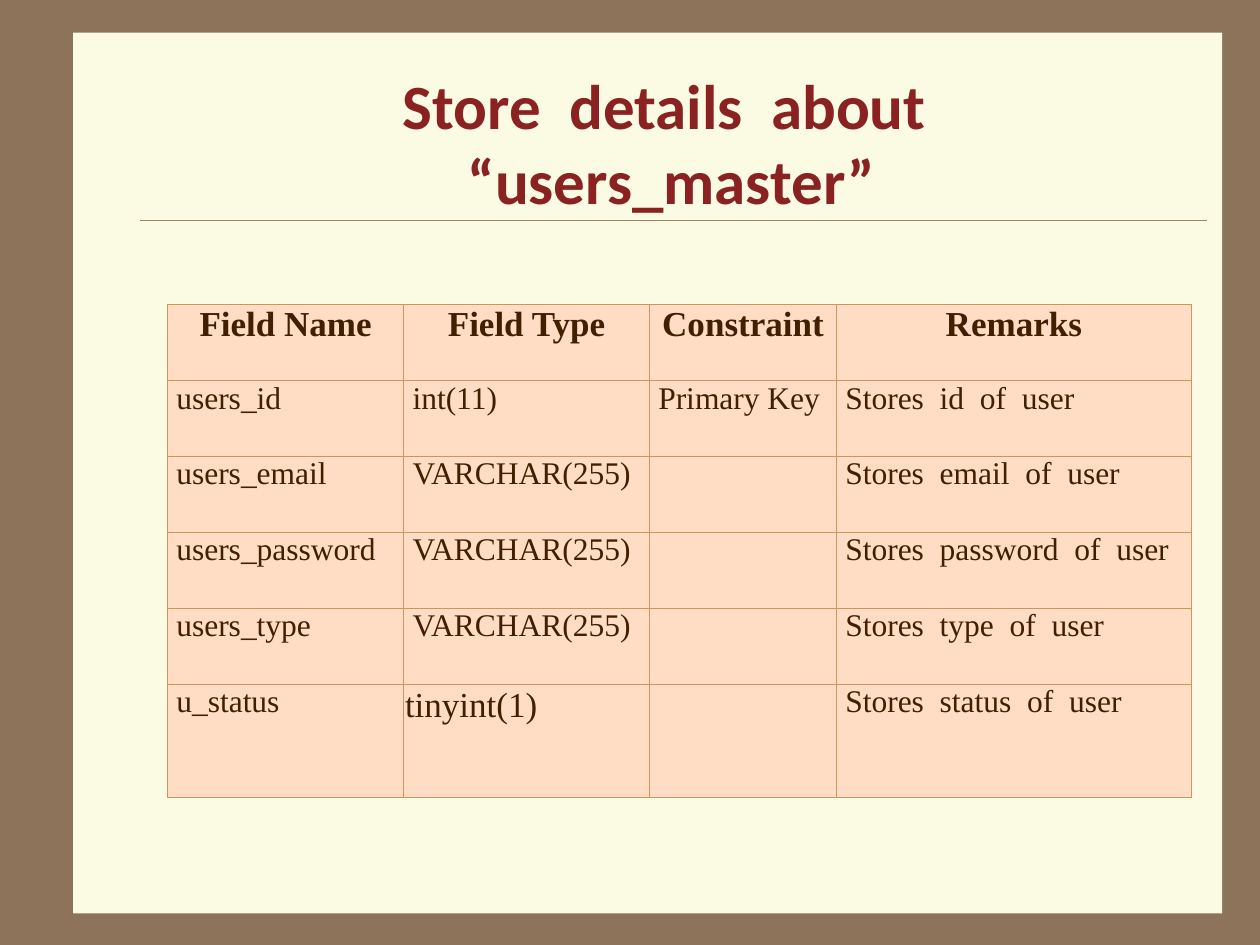
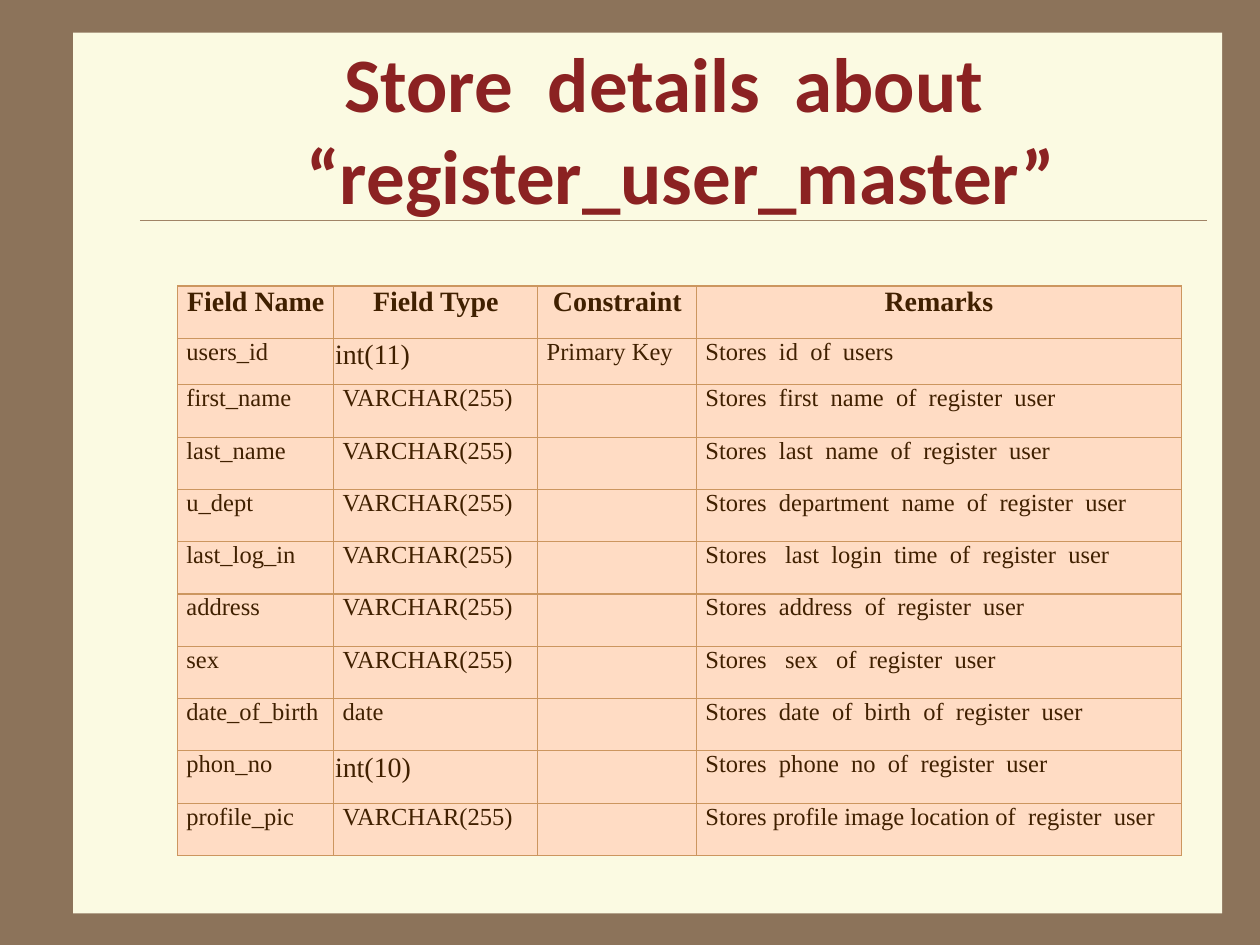
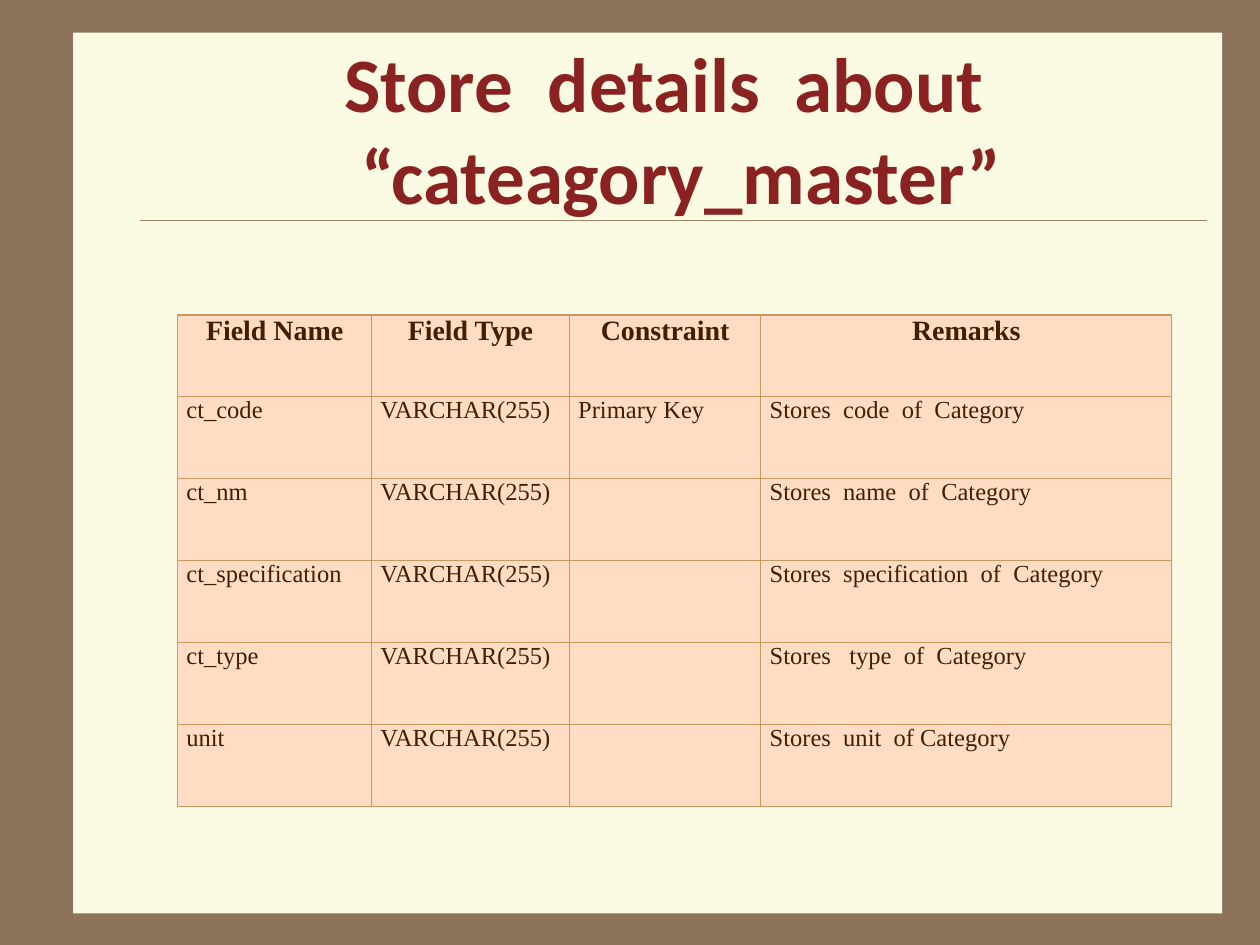
"""Builds three slides that describe the tables of a user database."""
from dataclasses import dataclass

from lxml.etree import SubElement
from pptx import Presentation
from pptx.dml.color import RGBColor as Rgb
from pptx.enum.shapes import MSO_CONNECTOR as Connector, MSO_SHAPE as Preset
from pptx.enum.text import MSO_ANCHOR as Anchor, MSO_AUTO_SIZE as AutoSize, PP_ALIGN as Align
from pptx.oxml import parse_xml
from pptx.oxml.ns import nsdecls, qn
from pptx.util import Inches, Pt

WIDTH, HEIGHT = Inches(10), Inches(7.5)
GRID_COLUMNS, GRID_ROWS = 100, 75
TITLE_ONLY = 5
HEADINGS = ("Field Name", "Field Type", "Constraint", "Remarks")


@dataclass(frozen=True)
class Theme:
    """Colours, fonts and sizes that all slides share."""
    frame: str = "8C735A"
    panel: str = "FBFAE2"
    rule: str = "A08366"
    title: str = "8B2222"
    cell: str = "FFDCC4"
    border: str = "CC965F"
    text: str = "402000"
    title_font: str = "Calibri"
    table_font: str = "Times New Roman"
    rule_width: float = 0.25
    border_width: float = 0.75


@dataclass(frozen=True)
class Schema:
    """One described database table and its place on the grid."""
    title: str
    title_place: tuple
    title_size: int
    corner: tuple
    widths: tuple
    heights: tuple
    heading_size: int
    field_size: int
    fields: tuple
    large_types: tuple = ()


THEME = Theme()

USERS = Schema(
    title="Store  details  about \v“users_master”",
    title_place=(10.8, 5, 85, 12.5), title_size=36,
    corner=(13.3, 24.2), widths=(18.75, 19.5, 14.85, 28.15),
    heights=(6.03,) * 5 + (8.95,), heading_size=20, field_size=18,
    fields=(
        ("users_id", "int(11)", "Stores  id  of  user"),
        ("users_email", "VARCHAR(255)", "Stores  email  of  user"),
        ("users_password", "VARCHAR(255)", "Stores  password  of  user"),
        ("users_type", "VARCHAR(255)", "Stores  type  of  user"),
        ("u_status", "tinyint(1)", "Stores  status  of  user"),
    ),
    large_types=("tinyint(1)",),
)

REGISTERED_USERS = Schema(
    title="Store  details  about \v “register_user_master”",
    title_place=(10.9, 3.9, 85, 12.5), title_size=44,
    corner=(14.1, 22.7), widths=(12.4, 16.2, 12.6, 38.45),
    heights=(4.15, 3.7) + (4.15,) * 9, heading_size=16, field_size=14,
    fields=(
        ("users_id", "int(11)", "Stores  id  of  users"),
        ("first_name", "VARCHAR(255)", "Stores  first  name  of  register  user"),
        ("last_name", "VARCHAR(255)", "Stores  last  name  of  register  user"),
        ("u_dept", "VARCHAR(255)", "Stores  department  name  of  register  user"),
        ("last_log_in", "VARCHAR(255)", "Stores   last  login  time  of  register  user"),
        ("address", "VARCHAR(255)", "Stores  address  of  register  user"),
        ("sex", "VARCHAR(255)", "Stores   sex   of  register  user"),
        ("date_of_birth", "date", "Stores  date  of  birth  of  register  user"),
        ("phon_no", "int(10)", "Stores  phone  no  of  register  user"),
        ("profile_pic", "VARCHAR(255)", "Stores profile image location of  register  user"),
    ),
    large_types=("int(11)", "int(10)"),
)

CATEGORIES = Schema(
    title="Store  details  about \v “cateagory_master”",
    title_place=(10.9, 3.9, 85, 12.5), title_size=44,
    corner=(14.1, 25), widths=(15.4, 15.7, 15.2, 32.6),
    heights=(6.5,) * 6, heading_size=16, field_size=14,
    fields=(
        ("ct_code", "VARCHAR(255)", "Stores  code  of  Category"),
        ("ct_nm", "VARCHAR(255)", "Stores  name  of  Category"),
        ("ct_specification", "VARCHAR(255)", "Stores  specification  of  Category"),
        ("ct_type", "VARCHAR(255)", "Stores   type  of  Category"),
        ("unit", "VARCHAR(255)", "Stores  unit  of Category"),
    ),
)


def across(columns):
    """Turn grid columns into a length."""
    return round(WIDTH * columns / GRID_COLUMNS)


def down(rows):
    """Turn grid rows into a length."""
    return round(HEIGHT * rows / GRID_ROWS)


def place(left, top, width, height):
    """Turn a grid area into slide lengths."""
    return across(left), down(top), across(width), down(height)


def style_font(font, name, size, color, bold):
    """Set the look of a paragraph's font."""
    font.name, font.size, font.bold = name, Pt(size), bold
    font.color.rgb = Rgb.from_string(color)


def furnish_layout(deck, layout):
    """Give the master its frame colour and the layout its panel and rule."""
    frame = deck.slide_master.background.fill
    frame.solid()
    frame.fore_color.rgb = Rgb.from_string(THEME.frame)

    shapes = deck.slides[0].shapes
    panel = shapes.add_shape(Preset.RECTANGLE, *place(5.8, 2.6, 91.2, 69.9))
    panel.shadow.inherit = False
    panel.fill.solid()
    panel.fill.fore_color.rgb = Rgb.from_string(THEME.panel)
    panel.line.fill.background()

    rule = shapes.add_connector(
        Connector.STRAIGHT, across(11.1), down(17.5), across(95.8), down(17.5))
    rule.line.color.rgb = Rgb.from_string(THEME.rule)
    rule.line.width = Pt(THEME.rule_width)
    SubElement(rule.element.spPr, qn("a:effectLst"))

    for depth, part in enumerate((panel, rule), start=2):
        part.element.xpath(".//p:cNvPr")[0].set("id", str(100 + depth))
        layout.shapes.element.insert(depth, part.element)


def write_title(slide, schema):
    """Place and format the slide's title."""
    title = slide.shapes.title
    title.left, title.top, title.width, title.height = place(*schema.title_place)
    frame = title.text_frame
    frame.text = schema.title
    frame.word_wrap = True
    frame.auto_size = AutoSize.NONE
    frame.vertical_anchor = Anchor.MIDDLE
    heading = frame.paragraphs[0]
    heading.alignment = Align.CENTER
    style_font(heading.font, THEME.title_font, schema.title_size, THEME.title, True)


def draw_borders(cell):
    """Draw a thin line on the four sides of a cell."""
    properties = cell._tc.get_or_add_tcPr()
    for position, side in enumerate(("lnL", "lnR", "lnT", "lnB")):
        properties.insert(position, parse_xml(
            f'<a:{side} {nsdecls("a")} w="{Pt(THEME.border_width)}"><a:solidFill>'
            f'<a:srgbClr val="{THEME.border}"/></a:solidFill></a:{side}>'))


def write_cell(cell, text, size, is_heading=False, is_tight=False):
    """Fill one table cell with text, colour and borders."""
    cell.margin_left = cell.margin_right = Inches(0.01 if is_tight else 0.07)
    cell.margin_top = cell.margin_bottom = Inches(0.01 if is_tight else 0)
    cell.fill.solid()
    cell.fill.fore_color.rgb = Rgb.from_string(THEME.cell)
    draw_borders(cell)
    cell.text = text
    entry = cell.text_frame.paragraphs[0]
    entry.alignment = Align.CENTER if is_heading else Align.LEFT
    style_font(entry.font, THEME.table_font, size, THEME.text, is_heading)


def add_field_table(slide, schema):
    """Add the table that lists the fields of a schema."""
    area = place(*schema.corner, sum(schema.widths), sum(schema.heights))
    table = slide.shapes.add_table(len(schema.heights), len(HEADINGS), *area).table
    table.first_row = table.horz_banding = False
    for column, width in zip(table.columns, schema.widths):
        column.width = across(width)
    for row, height in zip(table.rows, schema.heights):
        row.height = down(height)

    for column, heading in enumerate(HEADINGS):
        write_cell(table.cell(0, column), heading, schema.heading_size, is_heading=True)
    for row, (name, kind, remark) in enumerate(schema.fields, start=1):
        constraint = "Primary Key" if row == 1 else ""
        for column, text in enumerate((name, kind, constraint, remark)):
            is_large = text in schema.large_types
            size = schema.heading_size if is_large else schema.field_size
            write_cell(table.cell(row, column), text, size, is_tight=is_large)


def main():
    """Build and save the deck."""
    deck = Presentation()
    deck.slide_width, deck.slide_height = WIDTH, HEIGHT
    layout = deck.slide_layouts[TITLE_ONLY]
    for schema in (USERS, REGISTERED_USERS, CATEGORIES):
        slide = deck.slides.add_slide(layout)
        write_title(slide, schema)
        add_field_table(slide, schema)
    furnish_layout(deck, layout)
    deck.save("out.pptx")


if __name__ == "__main__":
    main()
